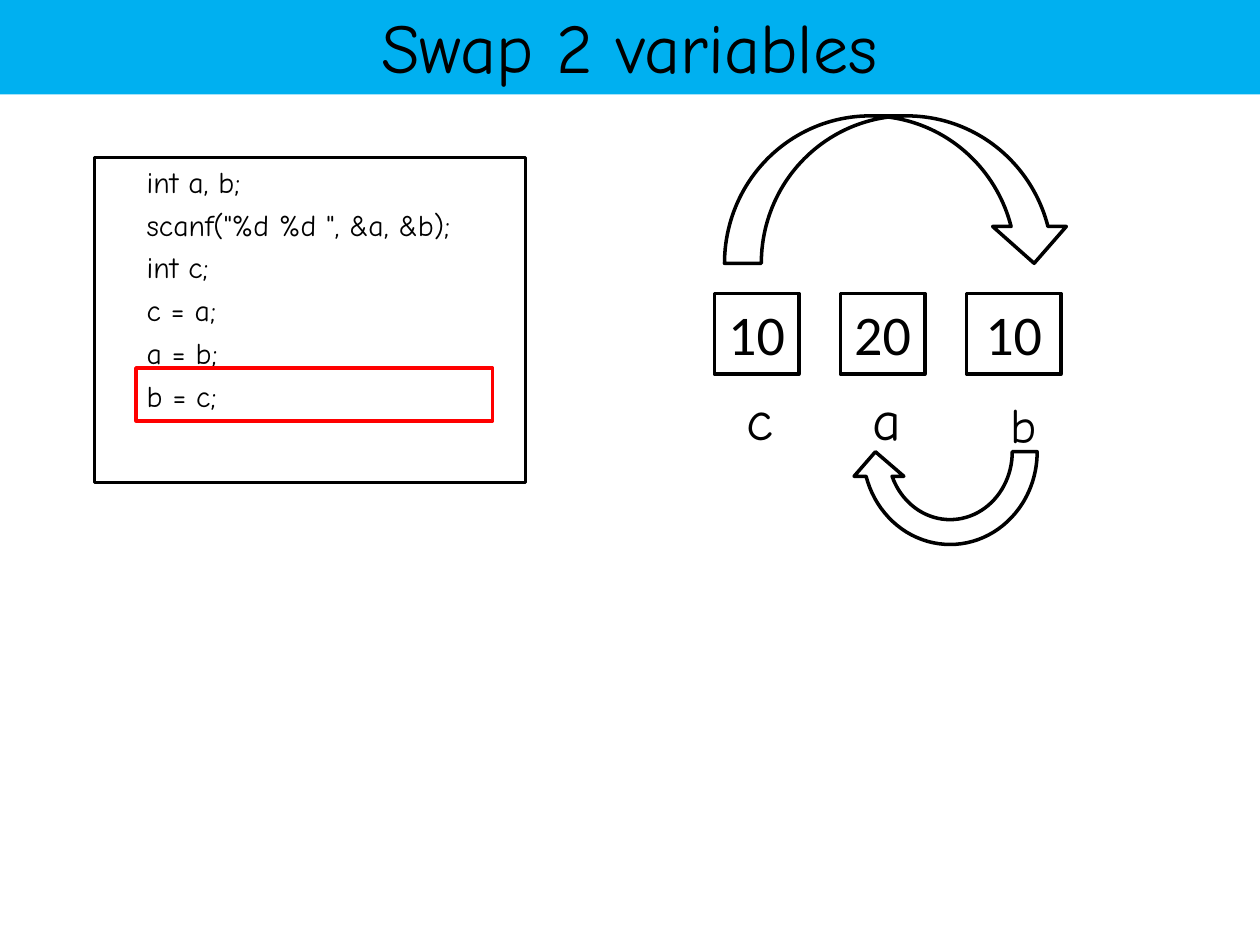
from pptx import Presentation
from pptx import util as u
from pptx.dml.color import RGBColor
from pptx.enum import shapes, text

COLORS = {"banner": "00B0F0", "ink": "000000", "paper": "FFFFFF", "highlight": "FF0000"}
HAND_FONT = "Comic Neue"
CODE_LINES = [
    "    int a, b;",
    '    scanf("%d %d ", &a, &b);',
    "    int c;",
    "    c = a;",
    "    a = b;",
    "    b = c;",
]


def color(name):
    return RGBColor.from_string(COLORS[name])


def add_figure(slide, kind, left, top, width, height, fill=None, line=None):
    shape = slide.shapes.add_shape(
        kind, u.Inches(left), u.Inches(top), u.Inches(width), u.Inches(height))
    shape.shadow.inherit = False
    if fill:
        shape.fill.solid()
        shape.fill.fore_color.rgb = color(fill)
    else:
        shape.fill.background()
    if line:
        shape.line.color.rgb = color(line)
        shape.line.width = u.Pt(2)
    else:
        shape.line.fill.background()
    return shape


def write(shape, content, size, font=HAND_FONT, align=text.PP_ALIGN.LEFT,
          anchor=text.MSO_ANCHOR.TOP):
    frame = shape.text_frame
    frame.word_wrap = True
    frame.vertical_anchor = anchor
    frame.text = content
    for paragraph in frame.paragraphs:
        paragraph.alignment = align
        for run in paragraph.runs:
            run.font.name = font
            run.font.size = u.Pt(size)
            run.font.color.rgb = color("ink")
    return frame


def add_banner(slide, left, top, width, height):
    banner = add_figure(slide, shapes.MSO_SHAPE.RECTANGLE, left, top, width, height, "banner")
    write(banner, "Swap 2 variables", 40, align=text.PP_ALIGN.CENTER,
          anchor=text.MSO_ANCHOR.MIDDLE)


def add_code(slide, left, top, width, height):
    panel = add_figure(slide, shapes.MSO_SHAPE.RECTANGLE, left, top, width, height,
                       "paper", "ink")
    frame = write(panel, "\n".join(CODE_LINES), 17)
    for index, paragraph in enumerate(frame.paragraphs):
        properties = paragraph._p.get_or_add_pPr()
        properties.set("marL", str(u.Inches(0.38)))
        properties.set("indent", str(u.Inches(-0.38)))
        if index:
            paragraph.space_before = u.Pt(4)
    add_figure(slide, shapes.MSO_SHAPE.RECTANGLE, left + 0.33, top + 1.67,
               width - 0.59, 0.42, line="highlight")


def add_variable(slide, left, top, width, value, name, name_left, name_top, name_size):
    cell = add_figure(slide, shapes.MSO_SHAPE.RECTANGLE, left, top, width, 0.64,
                      "paper", "ink")
    write(cell, value, 32, "Calibri", text.PP_ALIGN.CENTER)
    label = slide.shapes.add_textbox(
        u.Inches(left + name_left), u.Inches(top + name_top), u.Inches(0.5),
        u.Inches(name_size / 50))
    write(label, name, name_size)


def add_swap(slide, left, top):
    variables = [
        (0.67, "10", "c", 0.16, 0.67, 32),
        (0.67, "20", "a", 0.16, 0.67, 32),
        (0.75, "10", "b", 0.25, 0.75, 28),
    ]
    for index, variable in enumerate(variables):
        add_variable(slide, left + index, top + 1.41, *variable)
    return_arrow = add_figure(slide, shapes.MSO_SHAPE.CIRCULAR_ARROW,
                              left + 1.08, top + 1.83, 1.58, 1.67, line="ink")
    return_arrow.rotation = 180
    add_figure(slide, shapes.MSO_SHAPE.CURVED_DOWN_ARROW,
               left + 0.08, top, 2.75, 1.17, line="ink")


def main():
    presentation = Presentation()
    presentation.slide_width = u.Inches(10)
    presentation.slide_height = u.Inches(7.5)
    slide = presentation.slides.add_slide(presentation.slide_layouts[6])
    add_banner(slide, -0.01, -0.03, 10.01, 0.78)
    add_code(slide, 0.75, 1.25, 3.42, 2.58)
    add_swap(slide, 5.67, 0.92)
    presentation.save("out.pptx")


if __name__ == "__main__":
    main()
